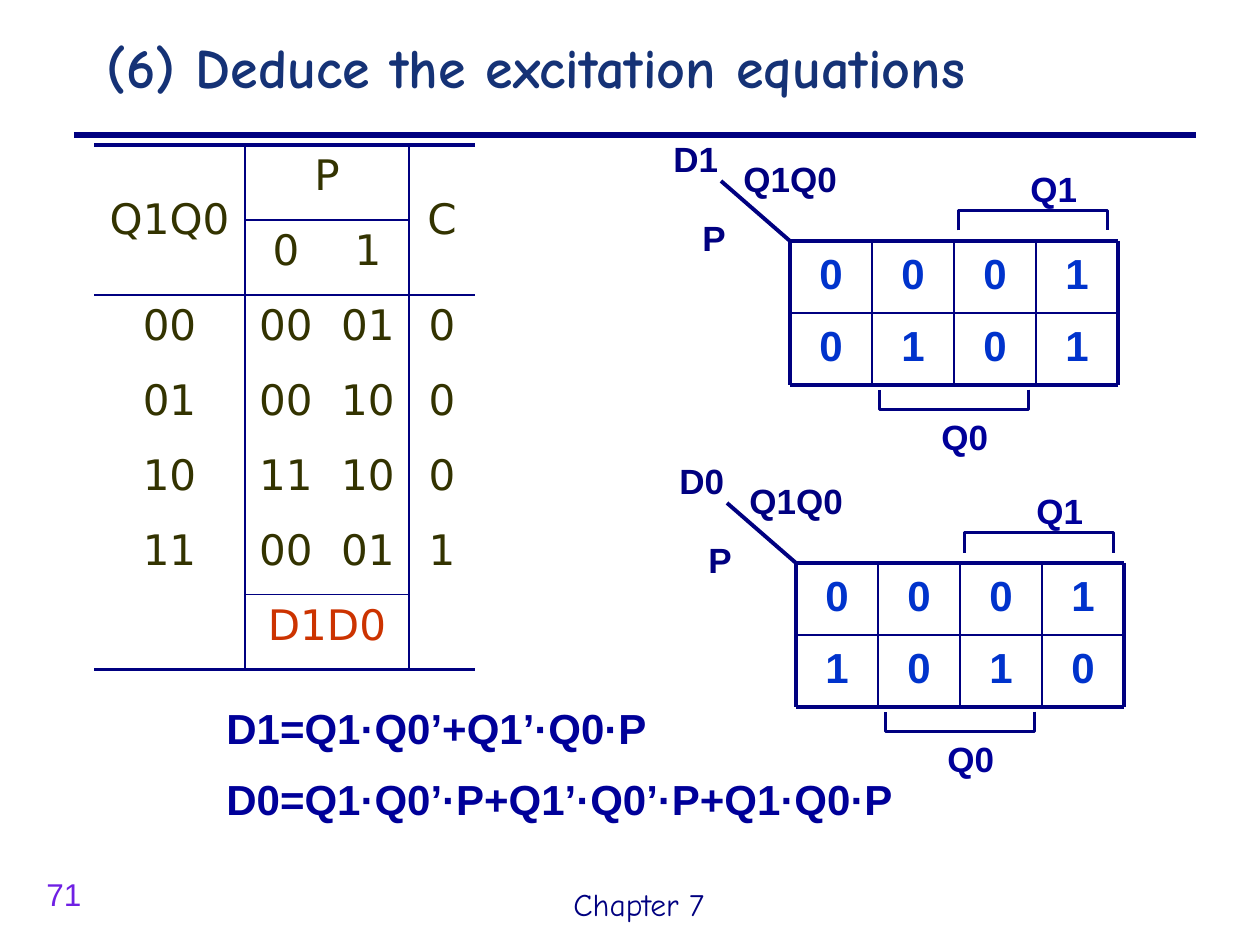
from dataclasses import dataclass
from itertools import product
from lxml.etree import SubElement as Sub
from pptx import Presentation as Deck
from pptx.dml.color import RGBColor as Rgb
from pptx.enum.shapes import MSO_CONNECTOR as Conn, MSO_SHAPE as Kind
from pptx.enum.text import MSO_ANCHOR as Anchor, PP_ALIGN as Align
from pptx.oxml.ns import qn
from pptx.util import Pt

HUES = {
    "navy": "000080", "blue": "000099", "bit": "0033CC", "title": "153276",
    "page": "6F20E4", "olive": "333300", "red": "CC3300",
}
PLAIN_GRID = "{2D5ABB26-0587-4C30-8999-92F81FD0307C}"
THICK, THIN = 2.25, 1
CELL_W, CELL_H = 82, 72


@dataclass
class Style:
    size: int
    hue: str
    face: str = "Arial"
    bold: bool = False
    align: Align = Align.LEFT


@dataclass
class Label:
    text: str
    x: int
    y: int
    w: int
    hue: str


@dataclass
class Map:
    name: str
    x: int
    y: int
    rows: tuple[str, ...]


BIT = Style(24, "bit", bold=True, align=Align.CENTER)
TABLE = Style(24, "olive", "DejaVu Sans", align=Align.CENTER)
MAPS = [Map("D1", 790, 241, ("0001", "0101")),
        Map("D0", 796, 563, ("0001", "1010"))]
# Offsets from the top left corner of a map
LABELS = [Label("P", -100, -31, 49, "navy"), Label("Q1Q0", -59, -90, 126, "navy"),
          Label("Q1", 228, -80, 79, "blue"), Label("Q0", 139, 168, 79, "blue")]
BRACKETS = [(233, -95, 90), (154, 84, 270)]
STATES = [
    ["Q1Q0", "P", "", "C"],
    ["", "0", "1", ""],
    ["00", "00", "01", "0"],
    ["01", "00", "10", "0"],
    ["10", "11", "10", "0"],
    ["11", "00", "01", "1"],
    ["", "D1D0", "", ""],
]


def px(n: int) -> int:
    return round(n * 914400 / 126)


def color(name: str) -> Rgb:
    return Rgb.from_string(HUES[name])


def write(frame, text: str, style: Style, gap: float = 0) -> None:
    """Fill a text frame, one paragraph for each line."""
    frame.text = text
    for i, para in enumerate(frame.paragraphs):
        para.alignment = style.align
        para.space_before = Pt(gap if i else 0)
        look = {"size": Pt(style.size), "name": style.face, "bold": style.bold}
        for run in para.runs:
            for key, val in look.items():
                setattr(run.font, key, val)
            run.font.color.rgb = color(style.hue)


def box(slide, text: str, area: tuple[int, ...], style: Style,
        gap: float = 0, wrap: bool = False) -> None:
    frame = slide.shapes.add_textbox(*map(px, area)).text_frame
    frame.word_wrap = wrap
    write(frame, text, style, gap)


def line(slide, ends: tuple[int, ...], width: float) -> None:
    conn = slide.shapes.add_connector(Conn.STRAIGHT, *map(px, ends))
    conn.line.width = Pt(width)
    conn.line.color.rgb = color("navy")
    Sub(conn._element.spPr, qn("a:effectLst"))


def bracket(slide, x: int, y: int, turn: int) -> None:
    shape = slide.shapes.add_shape(Kind.LEFT_BRACKET, *map(px, (x, y, 20, 149)))
    shape.adjustments[0] = 0
    shape.rotation = turn
    shape.shadow.inherit = False
    shape.fill.background()
    shape.line.width = Pt(THICK)
    shape.line.color.rgb = color("navy")


def draw_map(slide, kmap: Map) -> None:
    x, y = kmap.x, kmap.y
    right, low = x + 4 * CELL_W, y + 2 * CELL_H
    for r, row in enumerate(kmap.rows):
        for c, bit in enumerate(row):
            area = (x + c * CELL_W, y + r * CELL_H, CELL_W, CELL_H)
            box(slide, bit, area, BIT, wrap=True)
    # Grid, thick on the outside
    for r in range(3):
        at = y + r * CELL_H
        line(slide, (x, at, right, at), THIN if r == 1 else THICK)
    for c in range(5):
        at = x + c * CELL_W
        line(slide, (at, y, at, low), THICK if c in (0, 4) else THIN)
    line(slide, (x, y, x - 69, y - 60), THICK)
    # Variable names and their ranges
    for tag in [*LABELS, Label(kmap.name, -129, -110, 79, "navy")]:
        box(slide, tag.text, (x + tag.x, y + tag.y, tag.w, 54),
            Style(20, tag.hue, bold=True))
    for dx, dy, turn in BRACKETS:
        bracket(slide, x + dx, y + dy, turn)


def edge(cell, side: str, width: float) -> None:
    """Draw one side of a cell, or switch it off when the width is 0."""
    rule = Sub(cell._tc.get_or_add_tcPr(), qn("a:ln" + side), w=str(Pt(width)))
    if width:
        fill = Sub(rule, qn("a:solidFill"))
        Sub(fill, qn("a:srgbClr"), val=HUES["navy"])
    else:
        Sub(rule, qn("a:noFill"))


def level(row: int, col: int) -> float:
    """Width of the rule above a table row, 0 for none."""
    if row in (0, 7):
        return THICK
    return THIN if row == 2 or (row in (1, 6) and col in (1, 2)) else 0


def draw_table(slide) -> None:
    widths = (151, 82, 82, 66)
    frame = slide.shapes.add_table(7, 4, *map(px, (94, 145, sum(widths), 525)))
    table = frame.table
    table.first_row = table.horz_banding = False
    table._tbl.tblPr.find(qn("a:tableStyleId")).text = PLAIN_GRID
    for col, w in zip(table.columns, widths):
        col.width = px(w)
    for row in table.rows:
        row.height = px(75)
    for r, c in product(range(7), range(4)):
        cell = table.cell(r, c)
        sides = {"L": THIN if c in (1, 3) else 0, "R": THIN if c in (0, 2) else 0,
                 "T": level(r, c), "B": level(r + 1, c)}
        for side, width in sides.items():
            edge(cell, side, width)
        cell.fill.background()
        if STATES[r][c]:
            write(cell.text_frame, STATES[r][c], TABLE)
    # Joined cells
    for a, b in [((0, 0), (1, 0)), ((0, 1), (0, 2)),
                 ((0, 3), (1, 3)), ((6, 1), (6, 2))]:
        table.cell(*a).merge(table.cell(*b))
    for c in (0, 3):
        table.cell(0, c).vertical_anchor = Anchor.MIDDLE
    output = table.cell(6, 1).text_frame.paragraphs[0].runs[0]
    output.font.color.rgb = color("red")


def main() -> None:
    deck = Deck()
    deck.slide_width, deck.slide_height = px(1260), px(945)
    slide = deck.slides.add_slide(deck.slide_layouts[5])

    # Title and footer
    title = slide.shapes.title
    place = {"left": 94, "top": 26, "width": 1101, "height": 100}
    for key, val in place.items():
        setattr(title, key, px(val))
    title.text_frame.vertical_anchor = Anchor.TOP
    write(title.text_frame, "(6) Deduce the excitation equations",
          Style(32, "title", "Comic Neue", True))
    line(slide, (74, 135, 1196, 135), 3)
    box(slide, "Chapter 7", (561, 879, 179, 50), Style(18, "navy", "Comic Neue"))
    box(slide, "71", (34, 869, 89, 50), Style(18, "page"), wrap=True)

    # State table, maps and equations
    draw_table(slide)
    for kmap in MAPS:
        draw_map(slide, kmap)
    box(slide, "D1=Q1·Q0’+Q1’·Q0·P\nD0=Q1·Q0’·P+Q1’·Q0’·P+Q1·Q0·P",
        (214, 696, 927, 139), Style(24, "blue", bold=True), gap=12, wrap=True)
    deck.save("out.pptx")


if __name__ == "__main__":
    main()
